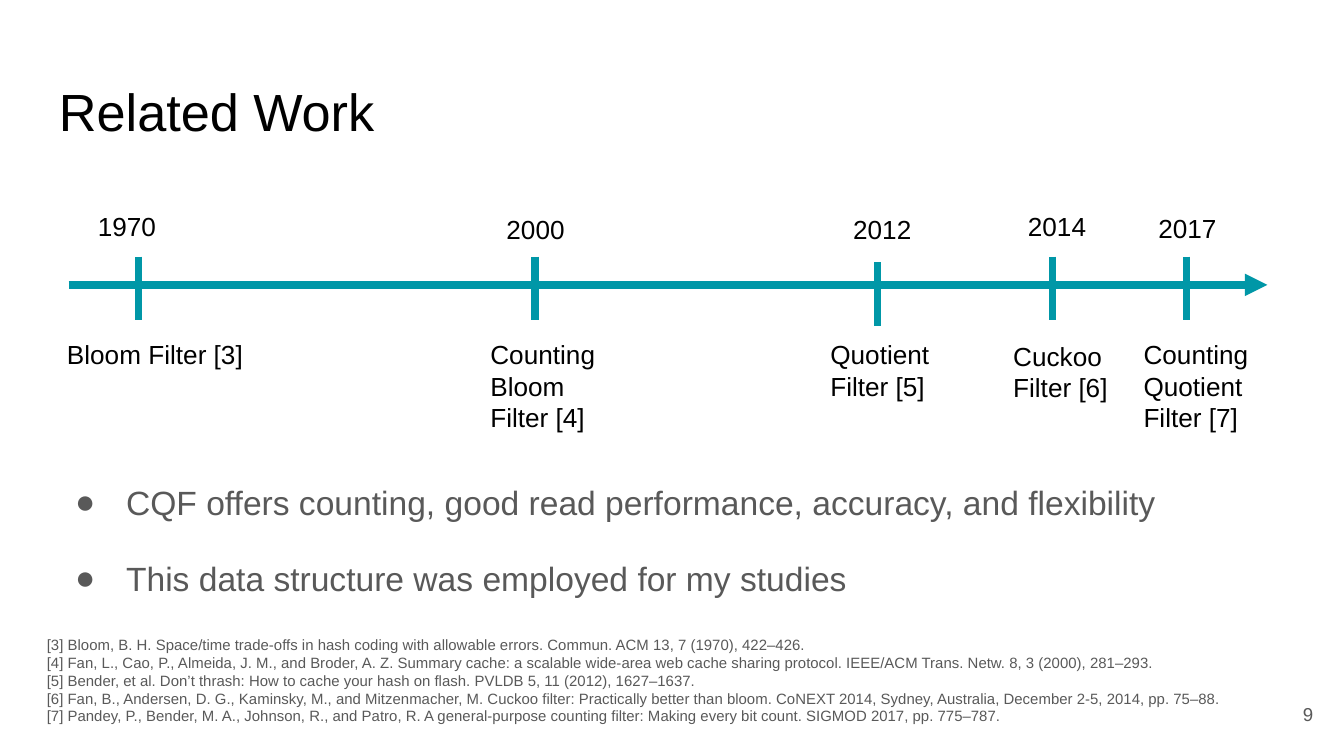
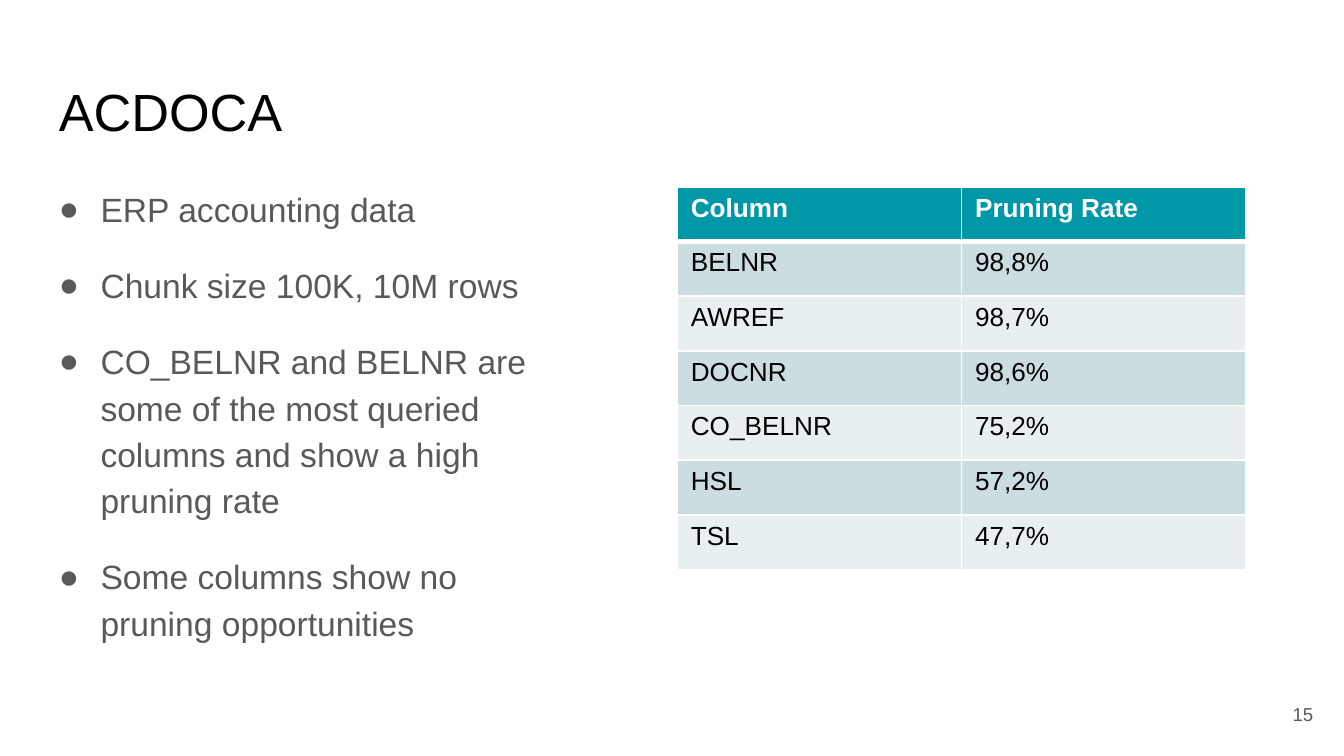
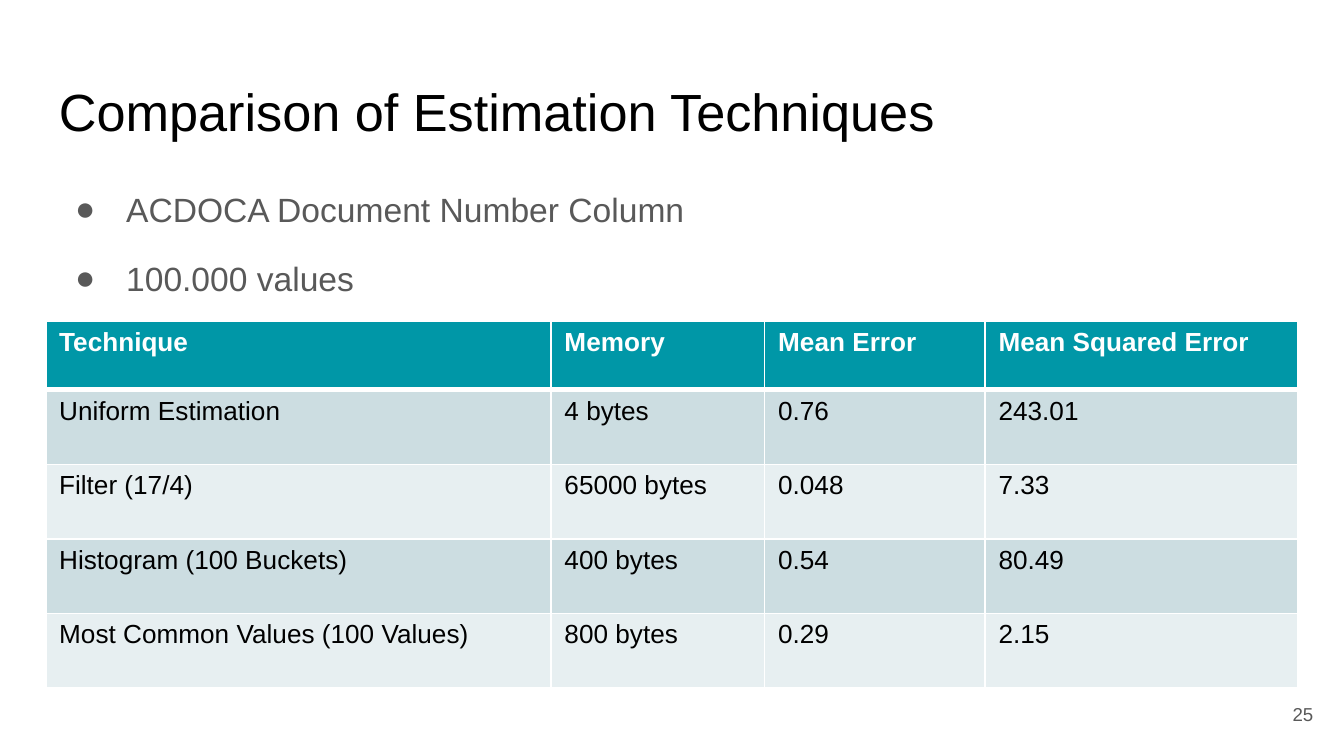
from dataclasses import dataclass

from lxml.etree import SubElement as Sub
from pptx import Presentation
from pptx.dml.color import RGBColor as RGB
from pptx.enum.shapes import MSO_CONNECTOR as Link
from pptx.enum.text import MSO_ANCHOR as Anchor, MSO_AUTO_SIZE as Auto, PP_ALIGN as Align
from pptx.oxml.ns import qn
from pptx.util import Inches, Pt


@dataclass(frozen=True)
class Theme:
    font: str = "Arial"
    ink: str = "000000"
    gray: str = "595959"
    teal: str = "0097A7"
    white: str = "FFFFFF"
    bands: tuple = ("CCDDE1", "E7EFF1")
    title: int = 28
    body: int = 18
    label: int = 14
    page: int = 10
    note: int = 8
    stroke: int = 4
    rule: int = 1
    thick: int = 3


class Deck:
    """Style and current slide; lengths are columns and rows of the grid."""

    COLS, ROWS = 100, 56.25
    LEFT, WIDE = 3.4, 93.2

    def __init__(self, theme):
        self.theme = theme
        self.prs = Presentation()
        self.prs.slide_width = Inches(10)
        self.prs.slide_height = Inches(5.625)
        self.slide = None

    def col(self, n):
        return round(self.prs.slide_width * n / self.COLS)

    def row(self, n):
        return round(self.prs.slide_height * n / self.ROWS)

    def box(self, x, y, w, h):
        return self.col(x), self.row(y), self.col(w), self.row(h)

    # Slide with its shared title and page number
    def page(self, title, num):
        th = self.theme
        self.slide = self.prs.slides.add_slide(self.prs.slide_layouts[6])
        self.text((self.LEFT, 4.9, self.WIDE, 6.3), [title], th.title, th.ink, pad=1)
        frame = self.text((92.7, 51, 6, 4.3), [num], th.page, th.gray, pad=1)
        frame.vertical_anchor = Anchor.MIDDLE
        frame.paragraphs[0].alignment = Align.RIGHT

    def put(self, para, words, size, color, bold=False):
        run = para.add_run()
        run.text = words
        font = run.font
        font.name, font.size, font.bold = self.theme.font, Pt(size), bold
        font.color.rgb = RGB.from_string(color)

    def text(self, area, lines, size, color, pad=0.5, grow=False):
        frame = self.slide.shapes.add_textbox(*self.box(*area)).text_frame
        frame.word_wrap = True
        frame.auto_size = Auto.SHAPE_TO_FIT_TEXT if grow else Auto.NONE
        frame.margin_left = frame.margin_right = self.col(1)
        frame.margin_top = frame.margin_bottom = self.row(pad)
        for i, line in enumerate(lines):
            para = frame.add_paragraph() if i else frame.paragraphs[0]
            self.put(para, line, size, color)
        return frame

    # Bulleted body text
    def list(self, area, lines, gap=16, left=5, hang=3.8):
        th = self.theme
        frame = self.text(area, lines, th.body, th.gray, pad=1)
        for para in frame.paragraphs:
            para.line_spacing, para.space_after = 1.15, Pt(gap)
            props = para._p.get_or_add_pPr()
            props.set("marL", str(self.col(left)))
            props.set("indent", str(-self.col(hang)))
            Sub(Sub(props, qn("a:buClr")), qn("a:srgbClr"), val=th.gray)
            Sub(props, qn("a:buFont"), typeface=th.font)
            Sub(props, qn("a:buChar"), char="●")

    def line(self, x1, y1, x2, y2, arrow=False):
        link = self.slide.shapes.add_connector(
            Link.STRAIGHT, self.col(x1), self.row(y1), self.col(x2), self.row(y2))
        link.line.color.rgb = RGB.from_string(self.theme.teal)
        link.line.width = Pt(self.theme.stroke)
        if arrow:
            Sub(link.line._get_or_add_ln(), qn("a:tailEnd"), type="triangle")
        Sub(link._element.spPr, qn("a:effectLst"))

    # Table with a teal head and two alternating bands
    def table(self, x, y, cols, rows, data):
        th = self.theme
        grid = self.slide.shapes.add_table(
            len(rows), len(cols), *self.box(x, y, sum(cols), sum(rows))).table
        grid.horz_banding = False
        for part, size in zip(grid.columns, cols):
            part.width = self.col(size)
        for part, size in zip(grid.rows, rows):
            part.height = self.row(size)
        for r, line in enumerate(data):
            head = r == 0
            fill = th.teal if head else th.bands[(r - 1) % 2]
            ink = th.white if head else th.ink
            for c, words in enumerate(line):
                cell = grid.cell(r, c)
                cell.fill.solid()
                cell.fill.fore_color.rgb = RGB.from_string(fill)
                self.put(cell.text_frame.paragraphs[0], words, th.label, ink, head)
                self.edge(cell, top=r == 1, base=head)

    def edge(self, cell, top, base):
        th = self.theme
        props = cell._tc.get_or_add_tcPr()
        sides = (("L", False), ("R", False), ("T", top), ("B", base))
        for i, (side, thick) in enumerate(sides):
            width = Pt(th.thick if thick else th.rule)
            rule = Sub(props, qn("a:ln" + side), w=str(width))
            Sub(Sub(rule, qn("a:solidFill")), qn("a:srgbClr"), val=th.white)
            props.insert(i, rule)


def work(deck):
    th = deck.theme
    deck.page("Related Work", "9")
    deck.list((deck.LEFT, 34.4, deck.WIDE, 10.4), [
        "CQF offers counting, good read performance, accuracy, and flexibility",
        "This data structure was employed for my studies",
    ])

    # Timeline: tick x and y, year with its place, name with its place, width and lines
    deck.line(5.1, 21.2, 94.3, 21.2, arrow=True)
    marks = [
        (10.3, 19.1, "1970", 6.3, 15.2, "Bloom Filter [3]", 4, 24.7, 15.3, 1),
        (39.8, 19.1, "2000", 36.7, 15.4, "Counting Bloom Filter [4]", 35.5, 24.7, 10.2, 3),
        (65.3, 19.5, "2012", 62.5, 15.4, "Quotient Filter [5]", 60.8, 24.7, 9.7, 2),
        (78.3, 19.1, "2014", 75.5, 15.2, "Cuckoo Filter [6]", 74.4, 24.8, 10.2, 2),
        (88.3, 19.1, "2017", 85.2, 15.3, "Counting Quotient Filter [7]", 84.1, 24.7, 10.2, 3),
    ]
    for x, y, year, yx, yy, name, nx, ny, wide, count in marks:
        deck.line(x, y, x, y + 4.75)
        deck.text((yx, yy, 8, 3.4), [year], th.label, th.ink, grow=True)
        deck.text((nx, ny, wide, 1.05 + 2.35 * count), [name], th.label, th.ink, grow=True)

    # Sources
    deck.text((2.5, 46.8, 90.1, 10.4), [
        "[3] Bloom, B. H. Space/time trade-offs in hash coding with allowable errors. "
        "Commun. ACM 13, 7 (1970), 422–426.",
        "[4] Fan, L., Cao, P., Almeida, J. M., and Broder, A. Z. Summary cache: a scalable "
        "wide-area web cache sharing protocol. IEEE/ACM Trans. Netw. 8, 3 (2000), 281–293.",
        "[5] Bender, et al. Don’t thrash: How to cache your hash on flash. "
        "PVLDB 5, 11 (2012), 1627–1637.",
        "[6] Fan, B., Andersen, D. G., Kaminsky, M., and Mitzenmacher, M. Cuckoo filter: "
        "Practically better than bloom. CoNEXT 2014, Sydney, Australia, "
        "December 2-5, 2014, pp. 75–88.",
        "[7] Pandey, P., Bender, M. A., Johnson, R., and Patro, R. A general-purpose "
        "counting filter: Making every bit count. SIGMOD 2017, pp. 775–787.",
    ], th.note, th.gray, grow=True)


def rates(deck):
    deck.page("ACDOCA", "15")
    deck.list((deck.LEFT, 12.6, 40.6, 37.4), [
        "ERP accounting data",
        "Chunk size 100K, 10M rows",
        "CO_BELNR and BELNR are some of the most queried columns and show a high pruning rate",
        "Some columns show no pruning opportunities",
    ], left=3.1, hang=3.1)
    deck.table(50.4, 13.9, [21.15] * 2, [4.07] * 7, [
        ("Column", "Pruning Rate"),
        ("BELNR", "98,8%"),
        ("AWREF", "98,7%"),
        ("DOCNR", "98,6%"),
        ("CO_BELNR", "75,2%"),
        ("HSL", "57,2%"),
        ("TSL", "47,7%"),
    ])


def compare(deck):
    deck.page("Comparison of Estimation Techniques", "25")
    deck.list((deck.LEFT, 12.6, deck.WIDE, 37.4), [
        "ACDOCA Document Number Column",
        "100.000 values",
    ], gap=12)
    deck.table(deck.LEFT, 23.9, [37.6, 15.9, 16.4, 23.3], [5.1] + [5.55] * 4, [
        ("Technique", "Memory", "Mean Error", "Mean Squared Error"),
        ("Uniform Estimation", "4 bytes", "0.76", "243.01"),
        ("Filter (17/4)", "65000 bytes", "0.048", "7.33"),
        ("Histogram (100 Buckets)", "400 bytes", "0.54", "80.49"),
        ("Most Common Values (100 Values)", "800 bytes", "0.29", "2.15"),
    ])


def main():
    deck = Deck(Theme())
    for build in (work, rates, compare):
        build(deck)
    deck.prs.save("out.pptx")


if __name__ == "__main__":
    main()
